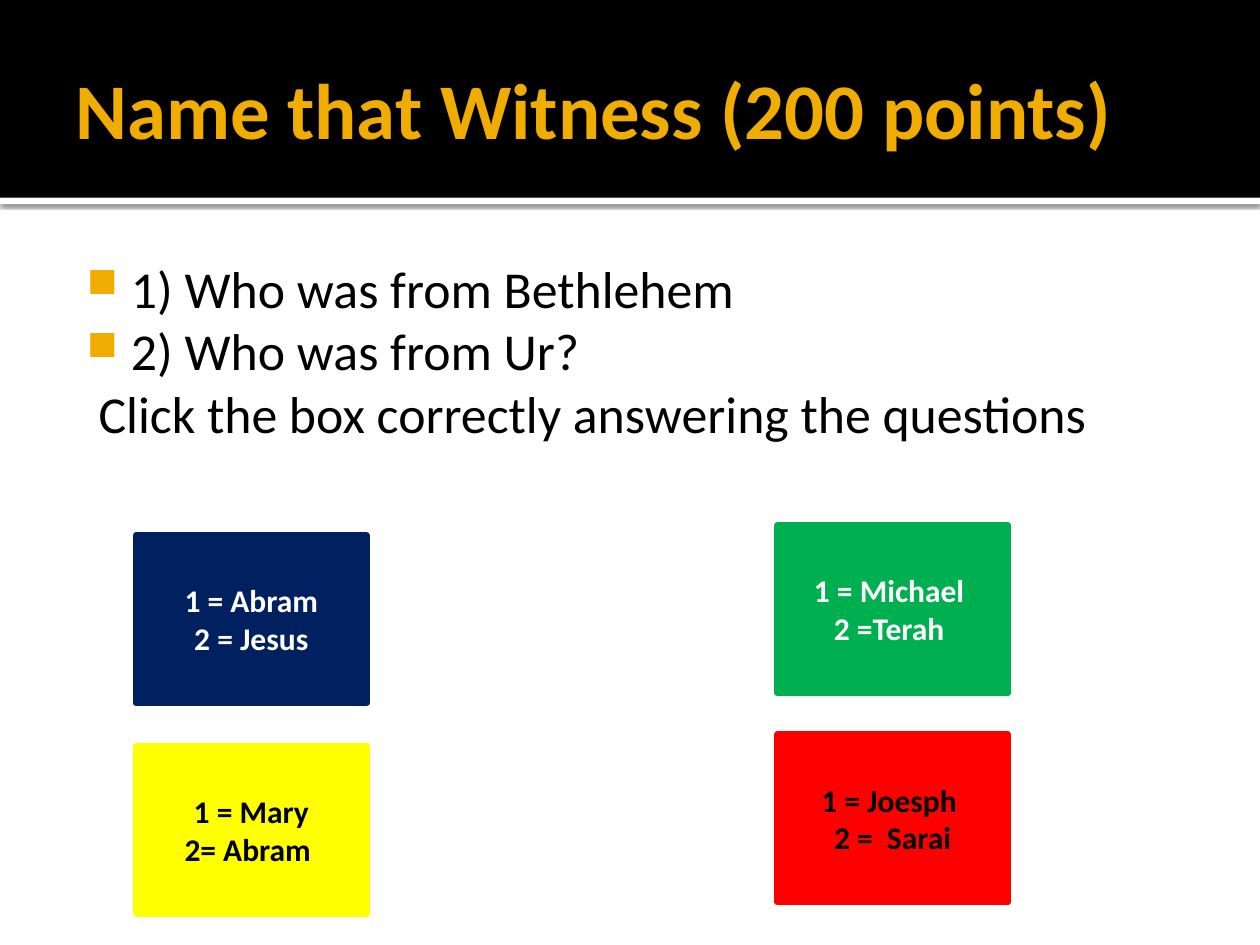
from lxml.etree import fromstring
from pptx import Presentation
from pptx.dml.color import RGBColor
from pptx.enum.shapes import MSO_SHAPE
from pptx.enum.text import MSO_ANCHOR, PP_ALIGN
from pptx.oxml.ns import nsdecls
from pptx.util import Inches, Pt

BLACK = RGBColor(0x00, 0x00, 0x00)
WHITE = RGBColor(0xFF, 0xFF, 0xFF)
GOLD = RGBColor(0xF0, 0xAD, 0x00)
NAVY = RGBColor(0x00, 0x20, 0x60)
GREEN = RGBColor(0x00, 0xB0, 0x50)
YELLOW = RGBColor(0xFF, 0xFF, 0x00)
RED = RGBColor(0xFF, 0x00, 0x00)

deck = Presentation()
deck.slide_width = Inches(10)
deck.slide_height = Inches(7.5)
slide = deck.slides.add_slide(deck.slide_layouts[6])


def add_box(left, top, width, height, fill):
    box = slide.shapes.add_shape(
        MSO_SHAPE.RECTANGLE, Inches(left), Inches(top), Inches(width), Inches(height)
    )
    box.shadow.inherit = False
    box.fill.solid()
    box.fill.fore_color.rgb = fill
    box.line.fill.background()
    return box


def add_line(frame, index, text, color, style):
    para = frame.paragraphs[0] if index == 0 else frame.add_paragraph()
    run = para.add_run()
    run.text = text
    run.font.color.rgb = color
    for key, value in style.items():
        setattr(run.font, key, value)
    return para


rule = add_box(0, 1.57, 10, 0.05, WHITE)
effect = rule.element.spPr.find("{*}effectLst")
effect.append(fromstring(
    f'<a:outerShdw {nsdecls("a")} blurRad="{Pt(2.5)}" dist="{Pt(0.8)}" '
    'dir="5400000" algn="t" rotWithShape="0"><a:srgbClr val="000000">'
    '<a:alpha val="60000"/></a:srgbClr></a:outerShdw>'
))
add_box(0, 0, 10, 1.57, BLACK)

title = slide.shapes.add_textbox(Inches(0.5), Inches(0.17), Inches(9), Inches(1.37)).text_frame
format = {
    "word_wrap": True,
    "vertical_anchor": MSO_ANCHOR.MIDDLE,
    "margin_left": Inches(0.1),
    "margin_right": Inches(0.05),
}
for key, value in format.items():
    setattr(title, key, value)
add_line(title, 0, "Name that Witness (200 points)", GOLD,
         {"name": "Calibri", "size": Pt(45), "bold": True})

body = slide.shapes.add_textbox(Inches(0.5), Inches(1.94), Inches(9), Inches(1.56)).text_frame
format = {"word_wrap": True, "margin_left": Inches(0.06), "margin_top": Inches(0.1)}
for key, value in format.items():
    setattr(body, key, value)

lines = [
    ("1) Who was from Bethlehem", True),
    ("2) Who was from Ur?", True),
    (" Click the box correctly answering the questions", False),
]
marks = [
    f'<a:buClr {nsdecls("a")}><a:srgbClr val="{GOLD}"/></a:buClr>',
    f'<a:buSzPct {nsdecls("a")} val="80000"/>',
    f'<a:buChar {nsdecls("a")} char="■"/>',
]
for index, (text, listed) in enumerate(lines):
    para = add_line(body, index, text, BLACK, {"name": "Calibri", "size": Pt(29.6)})
    props = para._p.get_or_add_pPr()
    props.set("marL", str(Inches(0.48)))
    props.set("indent", str(Inches(-0.35)))
    if listed:
        for mark in marks:
            props.append(fromstring(mark))

cards = [
    (1.08, 4.25, NAVY, WHITE, ["1 = Abram", "2 = Jesus"]),
    (6.17, 5.83, RED, BLACK, ["1 = Joesph ", "2 =  Sarai"]),
    (6.17, 4.17, GREEN, WHITE, ["1 = Michael ", "2 =Terah "]),
    (1.08, 5.92, YELLOW, BLACK, ["1 = Mary", "2= Abram "]),
]
style = {"name": "Calibri", "size": Pt(18), "bold": True}
for left, top, fill, ink, words in cards:
    card = add_box(left, top, 1.83, 1.33, fill)
    card.line.color.rgb = fill
    card.line.width = Pt(3.78)
    card.text_frame.vertical_anchor = MSO_ANCHOR.MIDDLE
    for index, text in enumerate(words):
        para = add_line(card.text_frame, index, text, ink, style)
        para.alignment = PP_ALIGN.CENTER

deck.save("out.pptx")
